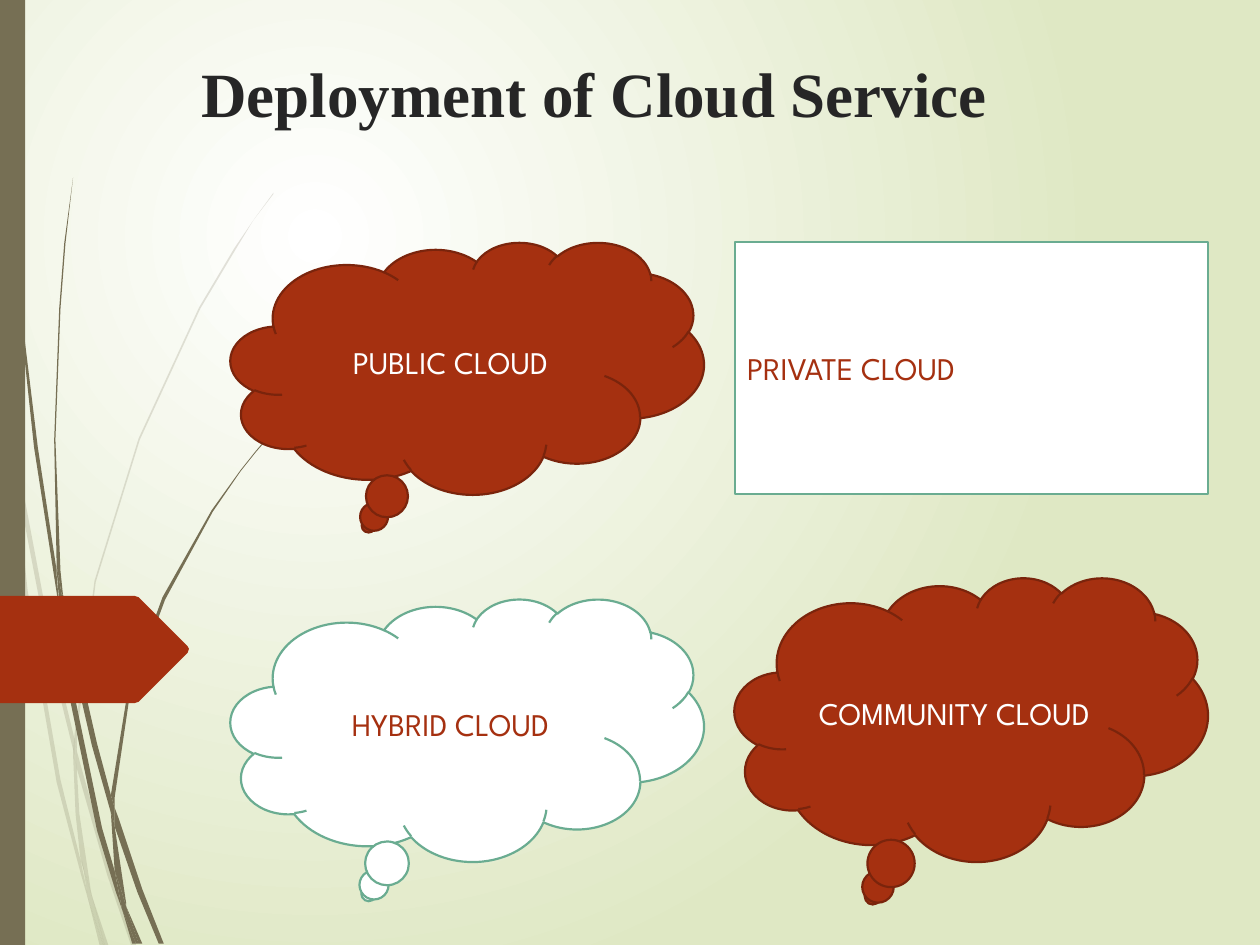
from lxml import etree
from pptx import Presentation
from pptx import util as u
from pptx.dml.color import RGBColor
from pptx.enum import shapes, text
from pptx.oxml.ns import qn

WHITE = RGBColor(0xFF, 0xFF, 0xFF)
PALE_GREEN = RGBColor(0xDF, 0xE8, 0xC4)
OLIVE = RGBColor(0x76, 0x6F, 0x54)
RUST = RGBColor(0xA5, 0x30, 0x10)
DARK_RUST = RGBColor(0x7A, 0x24, 0x0C)
SEA_GREEN = RGBColor(0x6A, 0xAC, 0x91)
INK = RGBColor(0x26, 0x26, 0x26)

# Outlines in hundredths of an inch
POINT_SCALE = u.Cm(2.54) / 100
FAINT_STRANDS = [
    [(8, 350), (6, 322), (0, 282), (0, 299), (7, 344)],
    [(40, 522), (59, 599), (59, 586), (43, 520), (10, 345), (12, 376)],
    [(64, 607), (61, 596), (61, 610), (85, 694), (104, 750), (108, 750),
     (88, 692)],
    [(83, 750), (86, 750), (73, 711)],
    [(64, 683), (48, 619), (22, 469), (12, 376), (8, 350), (19, 470),
     (45, 621), (64, 693), (70, 714), (69, 707)],
    [(58, 599), (60, 646), (64, 683), (67, 692), (73, 711), (72, 706),
     (63, 646), (61, 610), (61, 608)],
    [(61, 584), (76, 462), (111, 349), (159, 245), (187, 198), (201, 175),
     (217, 154), (217, 153), (201, 175), (186, 197), (158, 244), (110, 348),
     (75, 461), (59, 584), (59, 586), (61, 596)],
    [(70, 714), (79, 750), (82, 750)],
    [(61, 608), (61, 610), (61, 596), (59, 586), (58, 599)],
    [(67, 692), (65, 683), (69, 707), (70, 714), (82, 750), (83, 750),
     (73, 711)],
]
SOLID_STRANDS = [
    [(5, 110), (14, 233), (27, 355), (46, 477), (47, 481), (45, 457),
     (45, 453), (30, 355), (15, 232), (6, 109), (4, 48), (3, 0), (2, 0),
     (3, 48)],
    [(73, 592), (88, 645), (88, 633), (88, 631), (77, 590), (50, 472),
     (53, 505)],
    [(94, 649), (91, 641), (91, 656), (109, 708), (126, 749), (130, 749),
     (113, 706)],
    [(91, 691), (81, 657), (60, 556), (53, 505), (47, 477), (56, 557),
     (77, 659), (92, 708), (97, 722), (96, 717)],
    [(50, 472), (48, 453), (44, 349), (48, 245), (52, 193), (58, 141),
     (51, 193), (47, 245), (43, 349), (45, 449), (49, 472)],
    [(110, 749), (113, 749), (100, 719)],
    [(47, 477), (53, 505), (50, 472), (49, 472), (45, 449), (45, 453)],
    [(91, 633), (103, 552), (131, 476), (169, 406), (191, 374), (203, 359),
     (216, 344), (215, 344), (203, 358), (191, 373), (168, 405), (129, 474),
     (101, 551), (88, 631), (91, 641)],
    [(97, 722), (105, 749), (108, 749)],
    [(88, 645), (91, 691), (96, 706), (100, 719), (100, 716), (91, 656),
     (90, 651)],
    [(88, 645), (90, 651), (91, 656), (91, 641), (88, 631), (88, 633)],
    [(96, 706), (91, 691), (96, 717), (97, 722), (108, 749), (110, 749),
     (100, 719)],
]
ARROW_TAG = [(0, 473), (107, 473), (110, 474), (149, 513), (150, 515),
             (149, 518), (110, 557), (107, 558), (0, 558)]


def write_text(shape, words, font="League Spartan", size=18, color=WHITE,
               bold=False, align=text.PP_ALIGN.CENTER,
               anchor=text.MSO_ANCHOR.MIDDLE, space_before=0):
    frame = shape.text_frame
    frame.word_wrap = True
    frame.vertical_anchor = anchor
    paragraph = frame.paragraphs[0]
    paragraph.alignment = align
    paragraph.space_before = u.Pt(space_before)
    run = paragraph.add_run()
    run.text = words
    run.font.name = font
    run.font.size = u.Pt(size)
    run.font.bold = bold
    run.font.color.rgb = color


class SlideBuilder:
    def __init__(self, slide):
        self.slide = slide
        self.line_width = u.Pt(1.25)

    def background(self, inner, outer):
        """Radial gradient centred in the upper left quarter."""
        fill = self.slide.background.fill
        fill.gradient()
        for stop, color in zip(fill.gradient_stops, (inner, outer)):
            stop.color.rgb = color
        gradient = self.slide.element.find(".//" + qn("a:gradFill"))
        gradient.remove(gradient.find(qn("a:lin")))
        circle = etree.SubElement(gradient, qn("a:path"), path="circle")
        etree.SubElement(circle, qn("a:fillToRect"),
                         l="50000", t="50000", r="100000", b="100000")

    def paint(self, shape, fill, line=None):
        shape.shadow.inherit = False
        shape.fill.solid()
        shape.fill.fore_color.rgb = fill
        if line is None:
            shape.line.fill.background()
        else:
            shape.line.color.rgb = line
            shape.line.width = self.line_width

    def outline(self, points, fill, parent=None, opacity=100):
        collection = parent or self.slide.shapes
        builder = collection.build_freeform(*points[0], scale=POINT_SCALE)
        builder.add_line_segments(points[1:], close=True)
        shape = builder.convert_to_shape()
        self.paint(shape, fill)
        if opacity < 100:
            color = shape.element.spPr.find(".//" + qn("a:srgbClr"))
            etree.SubElement(color, qn("a:alpha"), val=str(opacity * 1000))

    def wisps(self, strands, opacity=100):
        group = self.slide.shapes.add_group_shape()
        for strand in strands:
            self.outline(strand, OLIVE, group.shapes, opacity)

    def box(self, kind, left, top, width, height, fill, line=None):
        shape = self.slide.shapes.add_shape(
            kind, u.Cm(left), u.Cm(top), u.Cm(width), u.Cm(height))
        self.paint(shape, fill, line)
        return shape

    def title(self, words, left, top, width, height):
        shape = self.slide.shapes.add_textbox(
            u.Cm(left), u.Cm(top), u.Cm(width), u.Cm(height))
        write_text(shape, words, font="Times New Roman", size=36, color=INK,
                   bold=True, align=text.PP_ALIGN.LEFT,
                   anchor=text.MSO_ANCHOR.BOTTOM)


def main():
    presentation = Presentation()
    presentation.slide_width = u.Cm(25.4)
    presentation.slide_height = u.Cm(19.05)
    builder = SlideBuilder(
        presentation.slides.add_slide(presentation.slide_layouts[6]))

    builder.background(WHITE, PALE_GREEN)
    builder.wisps(FAINT_STRANDS, opacity=20)
    builder.wisps(SOLID_STRANDS)
    rectangle = shapes.MSO_SHAPE.RECTANGLE
    cloud = shapes.MSO_SHAPE.CLOUD_CALLOUT
    builder.box(rectangle, 0, 0, 0.51, 19.05, OLIVE)
    builder.outline(ARROW_TAG, RUST)
    builder.title("Deployment of Cloud Service", 3.81, 0.84, 18.34, 1.91)

    left, right, width = 4.65, 14.81, 9.54
    filled = (RUST, DARK_RUST, WHITE)
    outlined = (WHITE, SEA_GREEN, RUST)
    left_aligned = {"align": text.PP_ALIGN.LEFT, "space_before": 10}
    services = [
        ("PUBLIC CLOUD", cloud, left, 4.88, 5.08, filled, {}),
        ("PRIVATE CLOUD", rectangle, right, 4.88, 5.08, outlined, left_aligned),
        ("COMMUNITY CLOUD", cloud, right, 11.64, 5.72, filled, {}),
        ("HYBRID CLOUD", cloud, left, 12.07, 5.29, outlined, {}),
    ]
    for words, kind, x, y, height, (fill, line, color), layout in services:
        shape = builder.box(kind, x, y, width, height, fill, line)
        write_text(shape, words, color=color, **layout)

    presentation.save("out.pptx")


if __name__ == "__main__":
    main()
